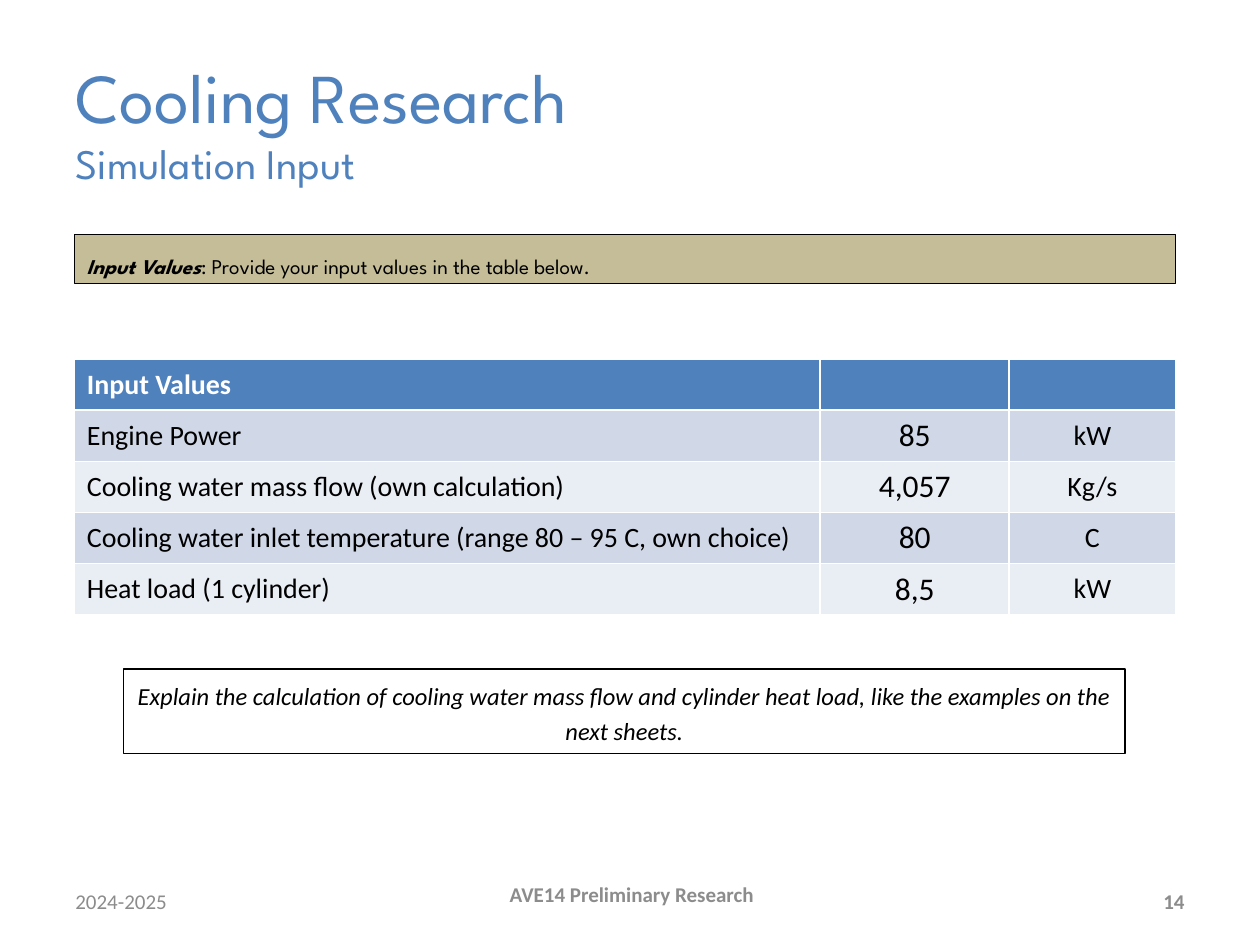
"""Build the cooling research slide with its simulation input table."""
from pptx import Presentation
from pptx.dml.color import RGBColor
from pptx.enum.shapes import MSO_SHAPE as Shape
from pptx.enum.text import MSO_ANCHOR as Anchor, MSO_AUTO_SIZE as AutoSize, PP_ALIGN as Align
from pptx.util import Inches, Pt

BLUE = RGBColor(0x4F, 0x81, 0xBD)
TAN = RGBColor(0xC4, 0xBD, 0x97)
BAND_DARK = RGBColor(0xD0, 0xD8, 0xE8)
BAND_LIGHT = RGBColor(0xE9, 0xED, 0xF4)
GRAY = RGBColor(0x8C, 0x8C, 0x8C)
BLACK = RGBColor(0, 0, 0)
WHITE = RGBColor(0xFF, 0xFF, 0xFF)


def style(paragraph, font_name, size, color, align=Align.LEFT, bold=None, italic=None):
    paragraph.alignment = align
    font = paragraph.font
    font.name, font.size, font.bold, font.italic = font_name, Pt(size), bold, italic
    font.color.rgb = color


def add_box(left, top, width, height, fill=None):
    box = slide.shapes.add_shape(
        Shape.RECTANGLE, Inches(left), Inches(top), Inches(width), Inches(height))
    box.shadow.inherit = False
    if fill is None:
        box.fill.background()
    else:
        box.fill.solid()
        box.fill.fore_color.rgb = fill
    box.line.color.rgb = BLACK
    box.line.width = Pt(0.75)
    box.text_frame.word_wrap = True
    box.text_frame.vertical_anchor = Anchor.TOP
    return box.text_frame


prs = Presentation()
prs.slide_width, prs.slide_height = Inches(10), Inches(7.5)
slide = prs.slides.add_slide(prs.slide_layouts[5])

title = slide.shapes.title
title.left, title.top, title.width, title.height = (
    Inches(0.5), Inches(0.3), Inches(9), Inches(1.32))
title.text_frame.auto_size = AutoSize.NONE
title.text_frame.vertical_anchor = Anchor.MIDDLE
heading = title.text_frame.paragraphs[0]
style(heading, "League Spartan", 40, BLUE)
heading.add_run().text = "Cooling Research"
heading.add_line_break()
subtitle = heading.add_run()
subtitle.text = "Simulation Input"
subtitle.font.size = Pt(24)

instruction = add_box(0.59, 1.86, 8.74, 0.39, TAN).paragraphs[0]
style(instruction, "League Spartan", 12, BLACK)
instruction.line_spacing = 1.5
label = instruction.add_run()
label.text = "Input Values"
label.font.bold = label.font.italic = True
instruction.add_run().text = ": Provide your input values in the table below."

inputs = [
    ("Input Values", "", ""),
    ("Engine Power", "85", "kW"),
    ("Cooling water mass flow (own calculation)", "4,057", "Kg/s"),
    ("Cooling water inlet temperature (range 80 – 95 C, own choice)", "80", "C"),
    ("Heat load (1 cylinder)", "8,5", "kW"),
]
columns = [(5.92, 16, Align.LEFT), (1.5, 18, Align.CENTER), (1.32, 16, Align.CENTER)]
table = slide.shapes.add_table(
    len(inputs), len(columns), Inches(0.59), Inches(2.85), Inches(8.74), Inches(2.03)).table
for c, (width, size, align) in enumerate(columns):
    table.columns[c].width = Inches(width)
    for r, row in enumerate(inputs):
        cell = table.cell(r, c)
        cell.text = row[c]
        cell.vertical_anchor = Anchor.MIDDLE
        cell.fill.solid()
        cell.fill.fore_color.rgb = BLUE if r == 0 else BAND_DARK if r % 2 else BAND_LIGHT
        style(cell.text_frame.paragraphs[0], "Calibri", size,
              BLACK if r else WHITE, align, bold=r == 0)

task = add_box(0.98, 5.31, 7.95, 0.67).paragraphs[0]
task.text = ("Explain the calculation of cooling water mass flow and cylinder heat load, "
             "like the examples on the next sheets.")
style(task, "Calibri", 14, BLACK, Align.CENTER, italic=True)
task.line_spacing = 1.2

footers = [
    ("2024-2025", 0.5, 6.95, 2.33, Align.LEFT, False),
    ("AVE14 Preliminary Research", 3.43, 6.9, 3.17, Align.CENTER, True),
    ("14", 7.17, 6.95, 2.33, Align.RIGHT, True),
]
for text, left, top, width, align, bold in footers:
    footer = slide.shapes.add_textbox(
        Inches(left), Inches(top), Inches(width), Inches(0.4)).text_frame
    footer.word_wrap = True
    footer.vertical_anchor = Anchor.MIDDLE
    footer.text = text
    style(footer.paragraphs[0], "Calibri", 12, GRAY, align, bold)

prs.save("out.pptx")
